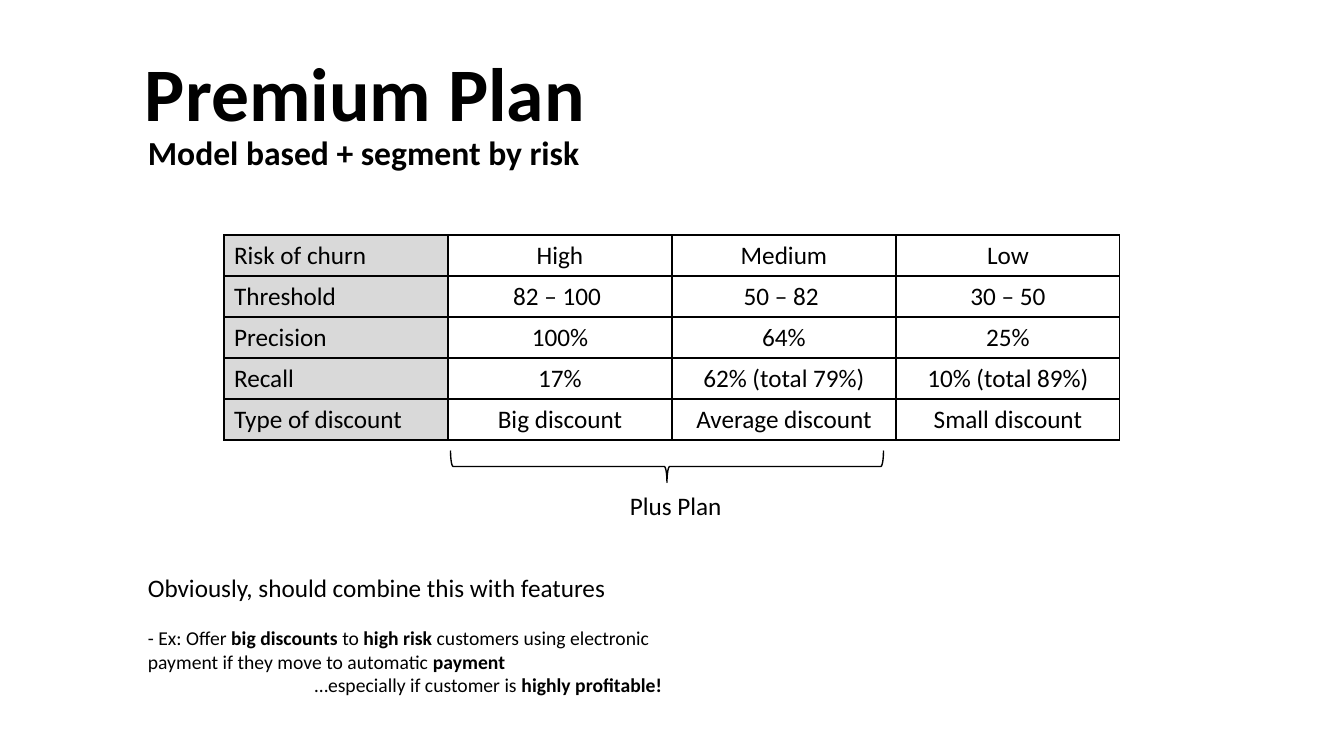
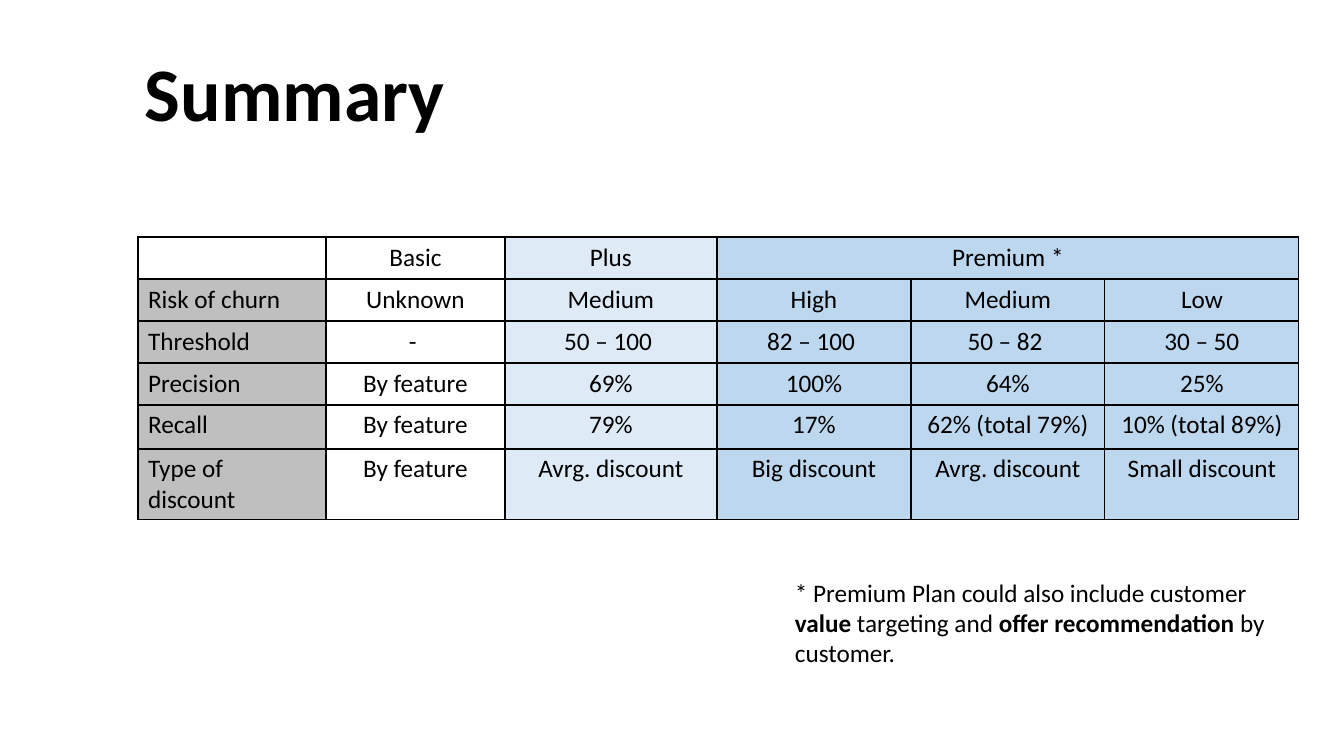
from dataclasses import dataclass

from lxml.etree import SubElement as Sub
from pptx import Presentation
from pptx.dml.color import RGBColor as Rgb
from pptx.enum.shapes import MSO_SHAPE as Form
from pptx.enum.text import MSO_ANCHOR as Anchor, PP_ALIGN as Align
from pptx.oxml.ns import qn
from pptx.util import Emu, Pt

SCALE = 914400 / 100.8


@dataclass(frozen=True)
class Theme:
    font: str = "Calibri"
    ink: str = "000000"
    white: str = "FFFFFF"
    light: str = "D9D9D9"
    gray: str = "BFBFBF"
    pale: str = "DEEBF7"
    blue: str = "BDD7EE"
    title: int = 54
    sub: int = 24
    body: int = 18
    note: int = 14
    line: int = 1


def px(*nums):
    return [Emu(round(num * SCALE)) for num in nums]


def put(obj, **vals):
    for key, val in vals.items():
        setattr(obj, key, val)


class Deck:
    def __init__(self, theme):
        self.theme = theme
        self.show = Presentation()
        wide, high = px(1344, 756)
        put(self.show, slide_width=wide, slide_height=high)

    def page(self, title):
        self.slide = self.show.slides.add_slide(self.show.slide_layouts[6])
        self.head(title, (135, 49, 1008, 94), self.theme.title)

    def words(self, para, text, size, bold=False, **form):
        put(para, **form)
        for num, part in enumerate(text.split("|")):
            if part:
                run = para.add_run()
                run.text = part
                put(run.font, name=self.theme.font, size=Pt(size),
                    bold=bold or num % 2 == 1)
                run.font.color.rgb = Rgb.from_string(self.theme.ink)

    def text(self, box, lines, anchor=Anchor.TOP):
        frame = self.slide.shapes.add_textbox(*px(*box)).text_frame
        put(frame, word_wrap=True, vertical_anchor=anchor)
        for num, (line, size, form) in enumerate(lines):
            para = frame.add_paragraph() if num else frame.paragraphs[0]
            self.words(para, line, size, **form)

    def head(self, line, box, size):
        form = dict(bold=True, line_spacing=0.9)
        self.text(box, [(line, size, form)], Anchor.BOTTOM)

    def edge(self, cell):
        props = cell._tc.get_or_add_tcPr()
        for num, side in enumerate(("lnL", "lnR", "lnT", "lnB")):
            line = Sub(props, qn(f"a:{side}"), w=str(Pt(self.theme.line)))
            fill = Sub(line, qn("a:solidFill"))
            Sub(fill, qn("a:srgbClr"), val=self.theme.ink)
            props.remove(line)
            props.insert(num, line)

    def table(self, spot, cols, rows, data, fills, spans=()):
        size = sum(cols), sum(rows)
        grid = self.slide.shapes.add_table(
            len(rows), len(cols), *px(*spot, *size)).table
        put(grid, first_row=False, horz_banding=False)
        for col, wide in zip(grid.columns, px(*cols)):
            col.width = wide
        for row, high in zip(grid.rows, px(*rows)):
            row.height = high
        for y, line in enumerate(data):
            for x, word in enumerate(line):
                cell = grid.cell(y, x)
                self.words(cell.text_frame.paragraphs[0], word, self.theme.body,
                           alignment=Align.CENTER if x else Align.LEFT)
                tint = fills[x] if x or word else self.theme.white
                cell.fill.solid()
                cell.fill.fore_color.rgb = Rgb.from_string(tint)
                self.edge(cell)
        for start, end in spans:
            grid.cell(*start).merge(grid.cell(*end))

    def brace(self, box):
        mark = self.slide.shapes.add_shape(Form.LEFT_BRACE, *px(*box))
        put(mark, rotation=270)
        mark.shadow.inherit = False
        mark.fill.background()
        mark.line.width = Pt(self.theme.line)
        mark.line.color.rgb = Rgb.from_string(self.theme.ink)


look = Theme()
deck = Deck(look)

risk = [
    ["High", "Medium", "Low"],
    ["82 – 100 ", "50 – 82 ", " 30 – 50 "],
    ["100%", "64%", "25%"],
    ["17%", "62% (total 79%)", "10% (total 89%)"],
]
names = ["Risk of churn", "Threshold", "Precision", "Recall", "Type of discount"]
deals = ["Big discount", "Average discount", "Small discount"]
short = ["Big discount", "Avrg. discount", "Small discount"]
basic = ["Unknown", "- "] + ["By feature"] * 3
plus = ["Medium", "50 – 100 ", "69%", "79%", "Avrg. discount"]

deck.page("Premium Plan")
deck.head("Model based + segment by risk", (138, 133, 1008, 45), look.sub)
deck.table((224, 235), [224] * 4, [41] * 5,
           [[name, *vals] for name, vals in zip(names, risk + [deals])],
           [look.light] + [look.white] * 3)
deck.brace((651, 250, 32, 433))
deck.text((620, 485, 145, 40), [("Plus Plan", look.body, {})])
deck.text((138, 567, 534, 136), [
    ("Obviously, should combine this with features ", look.body, {}),
    ("- Ex: Offer |big discounts |to |high risk| customers using electronic "
     "payment if they move to automatic |payment ", look.note,
     dict(space_before=Pt(17))),
    ("…especially if customer is |highly profitable!", look.note,
     dict(alignment=Align.RIGHT)),
])

deck.page("Summary")
deck.table((138, 237), [188, 179, 212] + [194] * 3, [42] * 4 + [44, 47],
           [["", "Basic", "Plus", "Premium *", "", ""]]
           + [[name, low, mid, *vals] for name, low, mid, vals
              in zip(names, basic, plus, risk + [short])],
           [look.gray, look.white, look.pale] + [look.blue] * 3,
           [((0, 3), (0, 5))])
deck.text((785, 572, 490, 102), [
    ("* Premium Plan could also include customer |value| targeting and "
     "|offer recommendation |by customer. ", look.body, {}),
])

deck.show.save("out.pptx")
